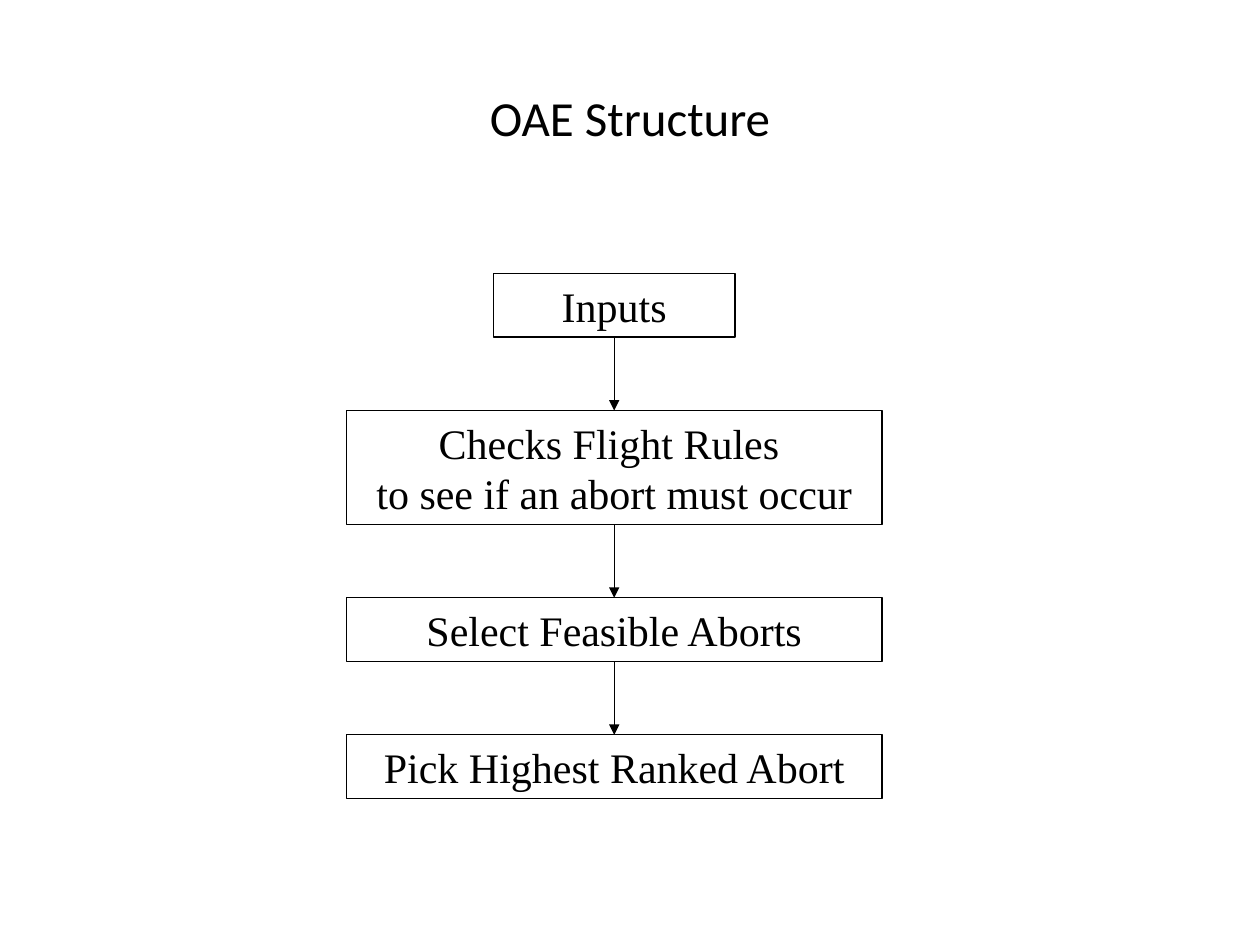
import pptx
import pptx.dml.color
import pptx.enum.shapes
import pptx.enum.text
import pptx.oxml.ns
import pptx.util
from lxml import etree

Pt = pptx.util.Pt


def rgb(value):
    return pptx.dml.color.RGBColor.from_string(value)


def write(sp, text, font, size, color):
    tf = sp.text_frame
    tf.word_wrap = True
    tf.vertical_anchor = pptx.enum.text.MSO_ANCHOR.MIDDLE
    p = tf.paragraphs[0]
    p.text = text
    p.alignment = pptx.enum.text.PP_ALIGN.CENTER
    for r in p.runs:
        r.font.name = font
        r.font.size = Pt(size)
        r.font.color.rgb = rgb(color)


class Deck:
    """Holds the flowchart style and the slide being drawn."""

    ink = "000000"
    line_width = 0.75

    def __init__(self, width, height):
        self.prs = pptx.Presentation()
        self.prs.slide_width = Pt(width)
        self.prs.slide_height = Pt(height)
        self.s = self.prs.slides.add_slide(self.prs.slide_layouts[6])

    def stroke(self, line):
        line.color.rgb = rgb(self.ink)
        line.width = Pt(self.line_width)

    def title(self, text, x, y, w, h):
        sp = self.s.shapes.add_textbox(Pt(x), Pt(y), Pt(w), Pt(h))
        write(sp, text, font="Calibri", size=28, color=self.ink)

    def box(self, text, x, y, w, h):
        sp = self.s.shapes.add_shape(
            pptx.enum.shapes.MSO_SHAPE.RECTANGLE, Pt(x), Pt(y), Pt(w), Pt(h))
        sp.shadow.inherit = False
        sp.fill.background()
        self.stroke(sp.line)
        write(sp, text, font="Times New Roman", size=24, color=self.ink)

    def arrow(self, x, top, bottom):
        sp = self.s.shapes.add_connector(
            pptx.enum.shapes.MSO_CONNECTOR.STRAIGHT,
            Pt(x), Pt(top), Pt(x), Pt(bottom))
        self.stroke(sp.line)
        qn = pptx.oxml.ns.qn
        etree.SubElement(sp.line._get_or_add_ln(), qn("a:tailEnd"), type="triangle")
        etree.SubElement(sp._element.spPr, qn("a:effectLst"))


def main():
    deck = Deck(720, 540)
    deck.title("OAE Structure", 36, 21.6, 648, 90)

    steps = [
        ("Inputs", 138, 36.3),
        ("Checks Flight Rules \vto see if an abort must occur", 306, 65),
        ("Select Feasible Aborts", 306, 36.3),
        ("Pick Highest Ranked Abort", 306, 36.3),
    ]
    center, y, gap = 351, 156.3, 42
    for i, (text, width, height) in enumerate(steps):
        if i:
            deck.arrow(center, y - gap, y)
        deck.box(text, center - width / 2, y, width, height)
        y += height + gap

    deck.prs.save("out.pptx")


if __name__ == "__main__":
    main()
